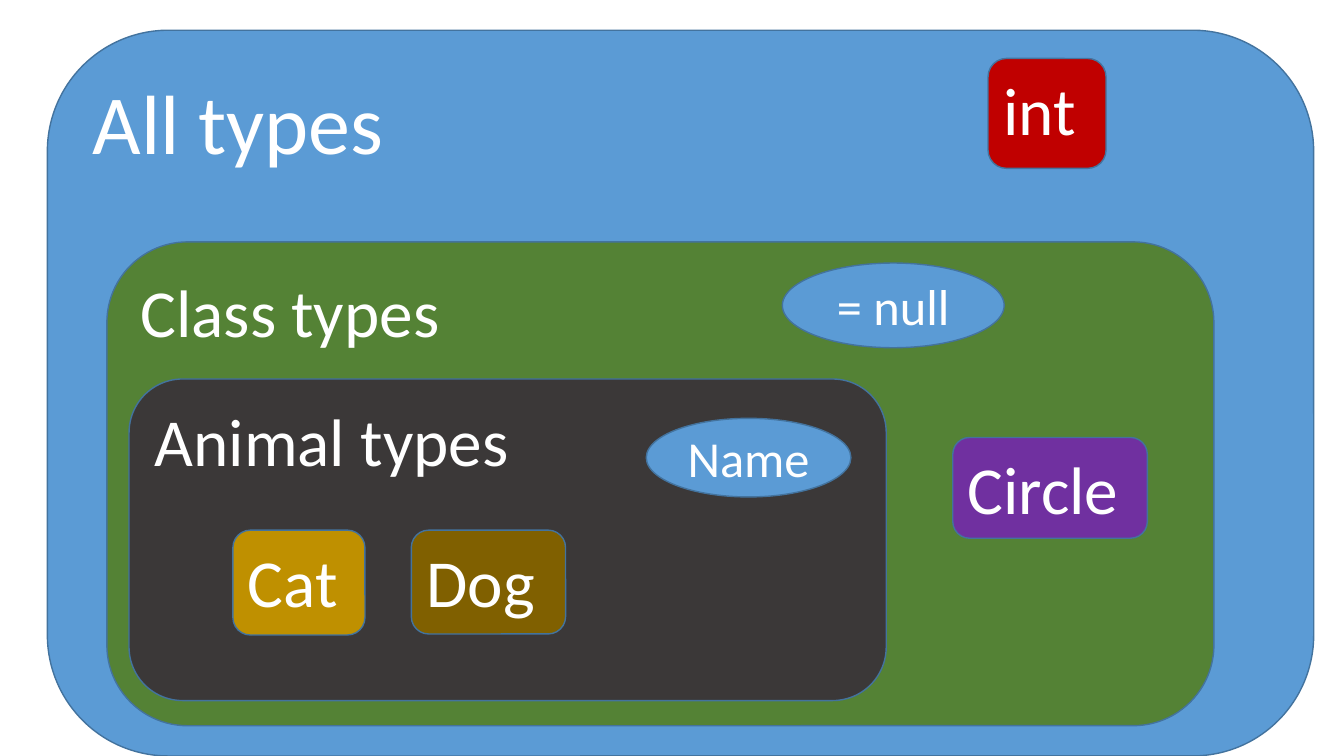
from pptx import Presentation
from pptx.dml.color import RGBColor
from pptx.enum import shapes, text
from pptx.util import Inches, Pt

WHITE = RGBColor(0xFF, 0xFF, 0xFF)
BLUE = RGBColor(0x5B, 0x9B, 0xD5)
OUTLINE = RGBColor(0x43, 0x73, 0x9E)
GREEN = RGBColor(0x54, 0x82, 0x35)
CHARCOAL = RGBColor(0x3B, 0x38, 0x38)
RED = RGBColor(0xC0, 0x00, 0x00)
GOLD = RGBColor(0xBF, 0x90, 0x00)
BROWN = RGBColor(0x80, 0x60, 0x00)
PURPLE = RGBColor(0x70, 0x30, 0xA0)

TYPE_SETS = [
    ("All types", (0.47, 0.3, 12.56, 7.2), BLUE, 60),
    ("Class types", (1.06, 2.4, 10.98, 4.8), GREEN, 48),
    ("int", (9.8, 0.58, 1.17, 1.09), RED, 48),
    ("Animal types", (1.28, 3.76, 7.51, 3.19), CHARCOAL, 48),
    ("Cat", (2.31, 5.26, 1.31, 1.04), GOLD, 48),
    ("Dog", (4.08, 5.26, 1.53, 1.03), BROWN, 48),
    ("Circle", (9.45, 4.34, 1.93, 1), PURPLE, 48),
]
MEMBERS = [
    ("= null", (7.76, 2.61, 2.2, 0.84)),
    ("Name", (6.41, 4.15, 2.03, 0.78)),
]


def add_labelled(slide, outline, label, box, color, size, align, anchor):
    region = slide.shapes.add_shape(outline, *map(Inches, box))
    region.shadow.inherit = False
    region.fill.solid()
    region.fill.fore_color.rgb = color
    region.line.color.rgb = OUTLINE
    region.line.width = Pt(1)
    frame = region.text_frame
    frame.text = label
    frame.word_wrap = True
    frame.vertical_anchor = anchor
    paragraph = frame.paragraphs[0]
    paragraph.alignment = align
    font = paragraph.runs[0].font
    font.name = "Calibri"
    font.size = Pt(size)
    font.color.rgb = WHITE


def add_type_set(slide, label, box, color, size):
    add_labelled(slide, shapes.MSO_SHAPE.ROUNDED_RECTANGLE, label, box, color,
                 size, text.PP_ALIGN.LEFT, text.MSO_ANCHOR.TOP)


def add_member(slide, label, box):
    add_labelled(slide, shapes.MSO_SHAPE.OVAL, label, box, BLUE, 36,
                 text.PP_ALIGN.CENTER, text.MSO_ANCHOR.MIDDLE)


def main():
    deck = Presentation()
    deck.slide_width = Inches(13.33)
    deck.slide_height = Inches(7.5)
    slide = deck.slides.add_slide(deck.slide_layouts[6])
    for type_set in TYPE_SETS:
        add_type_set(slide, *type_set)
    for member in MEMBERS:
        add_member(slide, *member)
    deck.save("out.pptx")


main()
